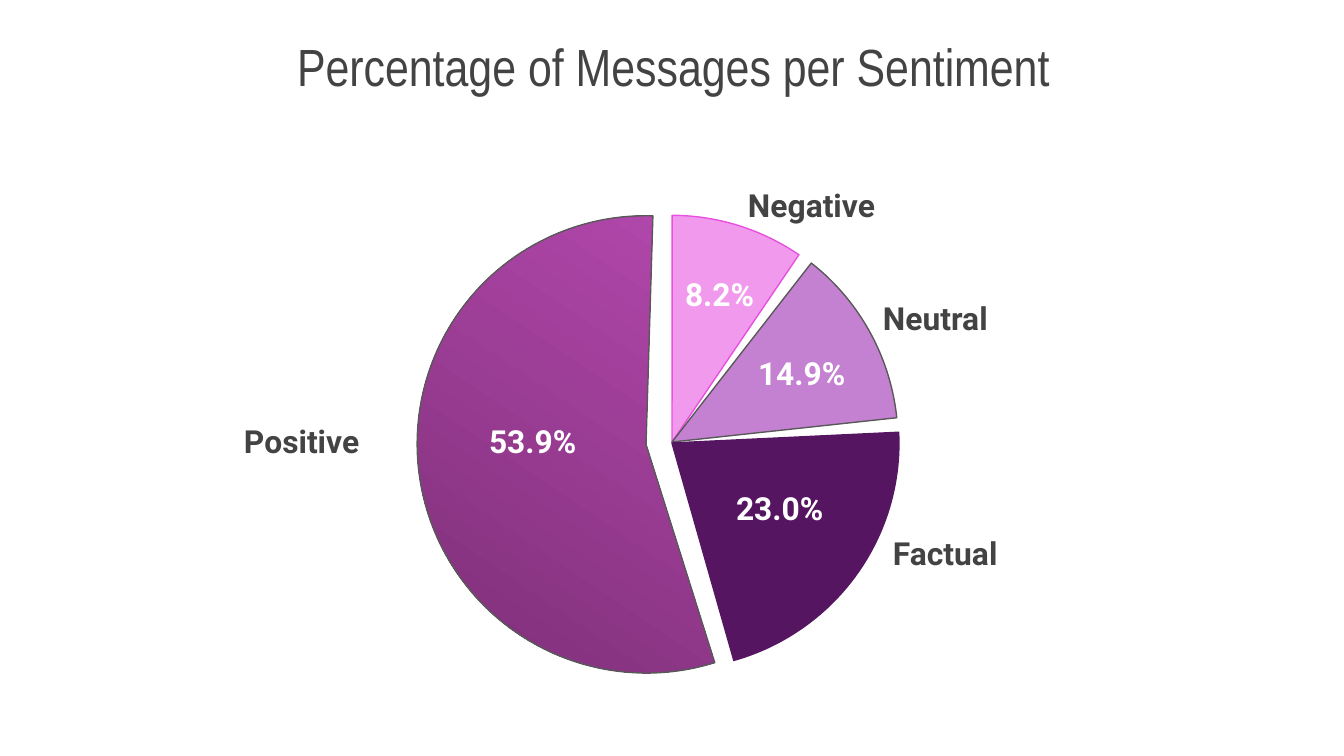
"""Build the exploded sentiment pie slide."""
from dataclasses import dataclass

import lxml.etree
import pptx
import pptx.dml.color
import pptx.enum.shapes
import pptx.enum.text
import pptx.oxml.ns
import pptx.util

EMU_PER_PX = 914400 / 134.4


def px(length):
    return pptx.util.Emu(round(length * EMU_PER_PX))


def rgb(value):
    return pptx.dml.color.RGBColor.from_string(value)


@dataclass(frozen=True)
class Theme:
    ink: str = "434343"
    white: str = "FFFFFF"
    outline: str = "595959"
    positive: tuple = ("CA52C2", "70296C")
    negative: str = "E850E0"
    neutral: str = "9C27B0"
    factual: str = "551561"
    title_font: str = "Arial Narrow"
    label_font: str = "Roboto"
    title_size: int = 28
    label_size: int = 17
    line_width: float = 0.75
    inset: int = 13


class SentimentSlide:
    def __init__(self, deck, theme):
        self.theme = theme
        self.slide = deck.slides.add_slide(deck.slide_layouts[6])

    def text(self, box, wording, font, size, color, bold=False):
        area = self.slide.shapes.add_textbox(*map(px, box))
        frame = area.text_frame
        frame.word_wrap = True
        frame.margin_left = frame.margin_right = px(self.theme.inset)
        frame.margin_top = frame.margin_bottom = px(self.theme.inset)
        frame.text = wording
        style = frame.paragraphs[0].runs[0].font
        style.name, style.size, style.bold = font, pptx.util.Pt(size), bold
        style.color.rgb = rgb(color)
        return frame

    def title(self, box, wording):
        theme = self.theme
        frame = self.text(box, wording, theme.title_font, theme.title_size, theme.ink)
        frame.vertical_anchor = pptx.enum.text.MSO_ANCHOR.MIDDLE
        frame.paragraphs[0].alignment = pptx.enum.text.PP_ALIGN.CENTER

    def label(self, left, top, width, wording, color):
        theme = self.theme
        frame = self.text((left, top, width, 66), wording, theme.label_font,
                          theme.label_size, color, bold=True)
        frame.auto_size = pptx.enum.text.MSO_AUTO_SIZE.SHAPE_TO_FIT_TEXT

    def wedge(self, box, rotation, angles, fill, outline, opacity=100):
        wedge = self.slide.shapes.add_shape(
            pptx.enum.shapes.MSO_SHAPE.PIE, *map(px, box))
        wedge.shadow.inherit = False
        wedge.rotation = rotation
        wedge.adjustments[0], wedge.adjustments[1] = angles
        if isinstance(fill, tuple):
            wedge.fill.gradient()
            wedge.fill.gradient_angle = 270
            for stop, color, position in zip(wedge.fill.gradient_stops, fill, (0, 1)):
                stop.color.rgb = rgb(color)
                stop.position = position
        else:
            wedge.fill.solid()
            wedge.fill.fore_color.rgb = rgb(fill)
        if opacity < 100:
            tint = wedge.fill._xPr.find(".//" + pptx.oxml.ns.qn("a:srgbClr"))
            lxml.etree.SubElement(tint, pptx.oxml.ns.qn("a:alpha"),
                                  val=str(opacity * 1000))
        wedge.line.color.rgb = rgb(outline)
        wedge.line.width = pptx.util.Pt(self.theme.line_width)


def main():
    theme = Theme()
    deck = pptx.Presentation()
    deck.slide_width, deck.slide_height = px(1344), px(756)
    page = SentimentSlide(deck, theme)
    page.title((105, 30, 1136, 71), "Percentage of Messages per Sentiment")

    page.wedge((417, 216, 458, 457), 34, (23.11, 142.64),
               theme.positive, theme.outline)
    page.wedge((446, 215, 452, 454), 147.3, (73.62, 94.09),
               theme.negative, theme.negative, opacity=58)
    page.wedge((446, 215, 452, 454), 189.7, (70.91, 98.47),
               theme.neutral, theme.outline, opacity=58)
    page.wedge((446, 216, 452, 454), 270, (52.37, 98.47),
               theme.factual, theme.factual)

    for left, top, width, share in (
        (476, 409, 117, "53.9%"),
        (672, 262, 97, "8.2%"),
        (723, 476, 117, "23.0%"),
        (745, 341, 117, "14.9%"),
    ):
        page.label(left, top, width, share, theme.white)

    for left, top, sentiment in (
        (231, 409, "Positive"),
        (735, 173, "Negative"),
        (880, 521, "Factual"),
        (870, 286, "Neutral"),
    ):
        page.label(left, top, 180, sentiment, theme.ink)

    deck.save("out.pptx")


if __name__ == "__main__":
    main()
